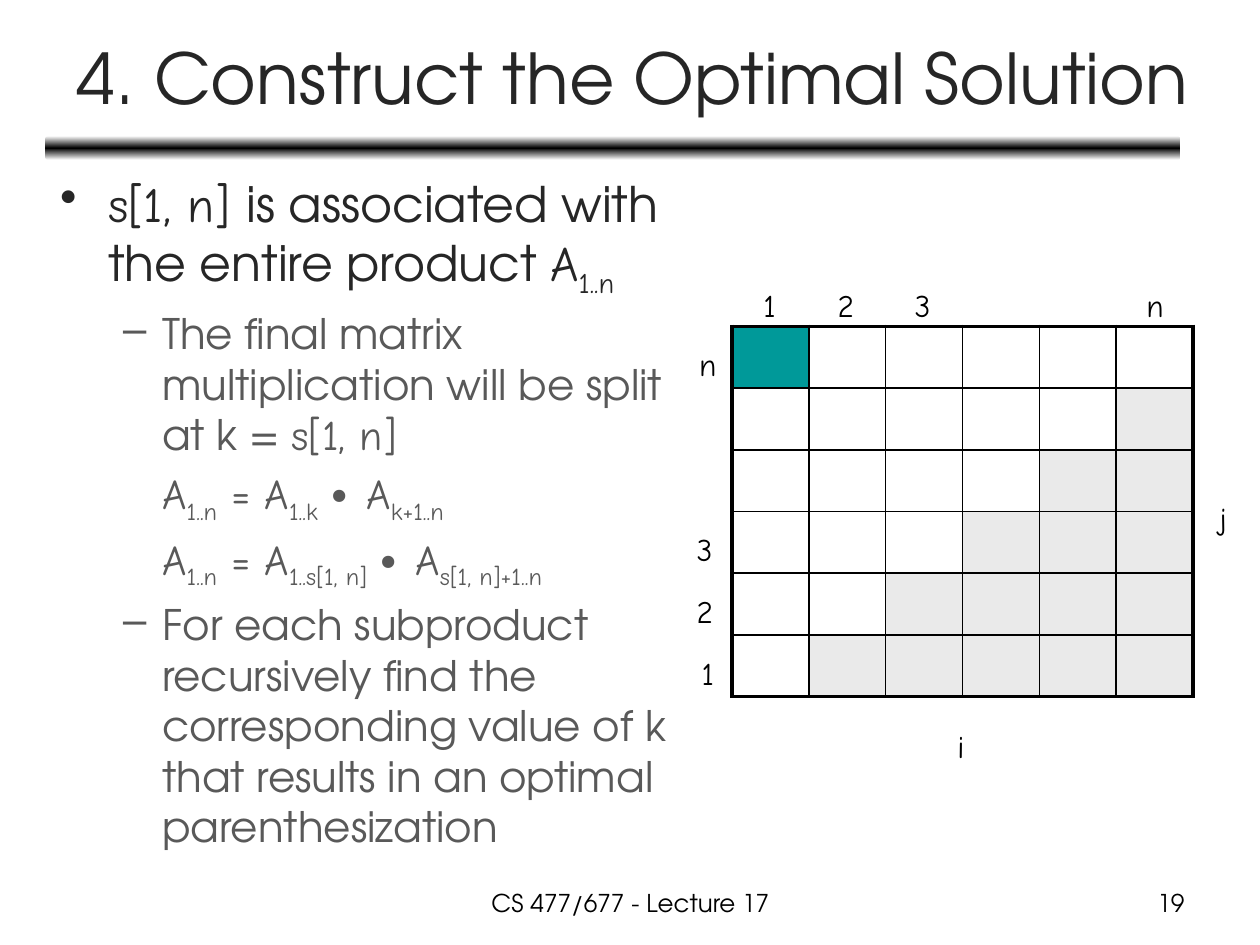
from copy import deepcopy
from dataclasses import dataclass

from pptx import Presentation
from pptx.dml.color import RGBColor
from pptx.enum.shapes import MSO_SHAPE
from pptx.enum.text import MSO_ANCHOR, MSO_AUTO_SIZE, PP_ALIGN
from pptx.oxml import parse_xml
from pptx.oxml.ns import nsdecls, qn
from pptx.util import Inches, Pt


@dataclass(frozen=True)
class Theme:
    sans: str = "TeX Gyre Adventor"
    hand: str = "Comic Neue"
    black: str = "000000"
    white: str = "FFFFFF"
    dark: str = "262626"
    gray: str = "595959"
    shade: str = "EAEAEA"
    teal: str = "009999"
    title: int = 40
    lead: int = 28
    point: int = 24
    label: int = 18
    foot: int = 14
    thick: float = 2.25
    thin: float = 1


THEME = Theme()
SIZE = 6
LEFT, TOP = 5.81, 2.59
WIDE, HIGH = 0.61, 0.49
GLYPHS = {"1": 0.31, "2": 0.35, "3": 0.35, "n": 0.33, "j": 0.3, "i": 0.27}


def add_run(para, text, font, size, color, sub=False):
    run = para.add_run()
    run.text = text
    run.font.name = font
    run.font.size = Pt(size)
    run.font.color.rgb = RGBColor.from_string(color)
    if sub:
        run._r.get_or_add_rPr().set("baseline", "-25000")


def add_box(slide, left, top, width, height):
    box = slide.shapes.add_textbox(Inches(left), Inches(top), Inches(width), Inches(height))
    box.text_frame.word_wrap = True
    return box.text_frame


def add_line(slide, place, text, size, color, align):
    frame = add_box(slide, *place)
    frame.vertical_anchor = MSO_ANCHOR.MIDDLE if size == THEME.title else MSO_ANCHOR.TOP
    para = frame.paragraphs[0]
    para.alignment = align
    add_run(para, text, THEME.sans, size, color)


def add_label(slide, text, left, top):
    frame = add_box(slide, left, top, GLYPHS[text], 0.4)
    frame.word_wrap = False
    frame.auto_size = MSO_AUTO_SIZE.SHAPE_TO_FIT_TEXT
    add_run(frame.paragraphs[0], text, THEME.hand, THEME.label, THEME.black)


def add_rule(slide):
    rule = slide.shapes.add_shape(
        MSO_SHAPE.ROUNDED_RECTANGLE, Inches(0.36), Inches(1.08), Inches(9.01), Inches(0.19)
    )
    rule.shadow.inherit = False
    rule.line.fill.background()
    rule.fill.gradient()
    rule.fill.gradient_angle = 90
    stops = rule._element.spPr.find(qn("a:gradFill")).find(qn("a:gsLst"))
    stops.append(deepcopy(stops[0]))
    colors = (THEME.white, THEME.black, THEME.white)
    for stop, spot, color in zip(rule.fill.gradient_stops, (0, 0.5, 1), colors):
        stop.position = spot
        stop.color.rgb = RGBColor.from_string(color)


def add_point(frame, runs, mark=None, lead=False):
    para = frame.paragraphs[0] if lead else frame.add_paragraph()
    margin, hang = (0.38, 0.38) if lead else (0.81, 0.31)
    props = para._p.get_or_add_pPr()
    props.set("marL", str(Inches(margin)))
    props.set("indent", str(-Inches(hang) if mark else 0))
    if mark:
        props.append(parse_xml(f'<a:buChar {nsdecls("a")} char="{mark}"/>'))
    if not lead:
        para.level = 1
        para.space_before = Pt(THEME.point * 0.2)
    size, color = (THEME.lead, THEME.dark) if lead else (THEME.point, THEME.gray)
    for text, font, sub in runs:
        add_run(para, text, font, size, color, sub)


def plain(text):
    return text, THEME.sans, False


def math(text):
    return text, THEME.hand, False


def sub(text):
    return text, THEME.hand, True


def product(first, last):
    return [math("A"), sub("1..n"), math(" = A"), sub(first + " "), math("∙ A"), sub(last)]


def add_body(slide):
    frame = add_box(slide, 0.38, 1.33, 5.3, 5.91)
    lead = [math("s[1, n] "), plain("is associated with the entire product "), math("A"), sub("1..n")]
    add_point(frame, lead, "•", lead=True)
    split = [plain("The final matrix multiplication will be split at k = "), math("s[1, n]")]
    add_point(frame, split, "–")
    add_point(frame, product("1..k", "k+1..n"))
    add_point(frame, product("1..s[1, n]", "s[1, n]+1..n"))
    find = (
        "For each subproduct recursively find the corresponding value of k "
        "that results in an optimal parenthesization"
    )
    add_point(frame, [plain(find)], "–")


def set_edge(cell, side, width):
    cell._tc.get_or_add_tcPr().append(parse_xml(
        f'<a:ln{side} {nsdecls("a")} w="{Pt(width)}"><a:solidFill>'
        f'<a:srgbClr val="{THEME.black}"/></a:solidFill></a:ln{side}>'
    ))


def set_cell(cell, row, col):
    last = SIZE - 1
    outer = {"L": col == 0, "R": col == last, "T": row == 0, "B": row == last}
    for side, edge in outer.items():
        set_edge(cell, side, THEME.thick if edge else THEME.thin)
    if row == col == 0:
        color = THEME.teal
    elif row + col > last:
        color = THEME.shade
    else:
        cell.fill.background()
        return
    cell.fill.solid()
    cell.fill.fore_color.rgb = RGBColor.from_string(color)


def add_grid(slide):
    table = slide.shapes.add_table(
        SIZE, SIZE, Inches(LEFT), Inches(TOP), Inches(SIZE * WIDE), Inches(SIZE * HIGH)
    ).table
    table.first_row = table.horz_banding = False
    for col in table.columns:
        col.width = Inches(WIDE)
    for row in range(SIZE):
        table.rows[row].height = Inches(HIGH)
        for col in range(SIZE):
            set_cell(table.cell(row, col), row, col)


def add_labels(slide):
    for text, step in (("1", 0), ("2", 1), ("3", 2), ("n", SIZE - 1)):
        width = GLYPHS[text]
        add_label(slide, text, LEFT + (step + 0.5) * WIDE - width / 2, 2.22)
        add_label(slide, text, 5.78 - width, 5.14 - step * HIGH)
    add_label(slide, "j", 9.58, 3.91)
    add_label(slide, "i", 7.5, 5.72)


def main():
    deck = Presentation()
    deck.slide_width, deck.slide_height = Inches(10), Inches(7.5)
    slide = deck.slides.add_slide(deck.slide_layouts[6])
    add_rule(slide)
    add_line(slide, (0.37, 0.11, 9.3, 0.99), "4. Construct the Optimal Solution",
             THEME.title, THEME.dark, PP_ALIGN.CENTER)
    add_body(slide)
    add_grid(slide)
    add_labels(slide)
    add_line(slide, (3.42, 7, 3.17, 0.35), "CS 477/677 - Lecture 17",
             THEME.foot, THEME.black, PP_ALIGN.CENTER)
    add_line(slide, (7.17, 7, 2.33, 0.35), "19", THEME.foot, THEME.black, PP_ALIGN.RIGHT)
    deck.save("out.pptx")


if __name__ == "__main__":
    main()
